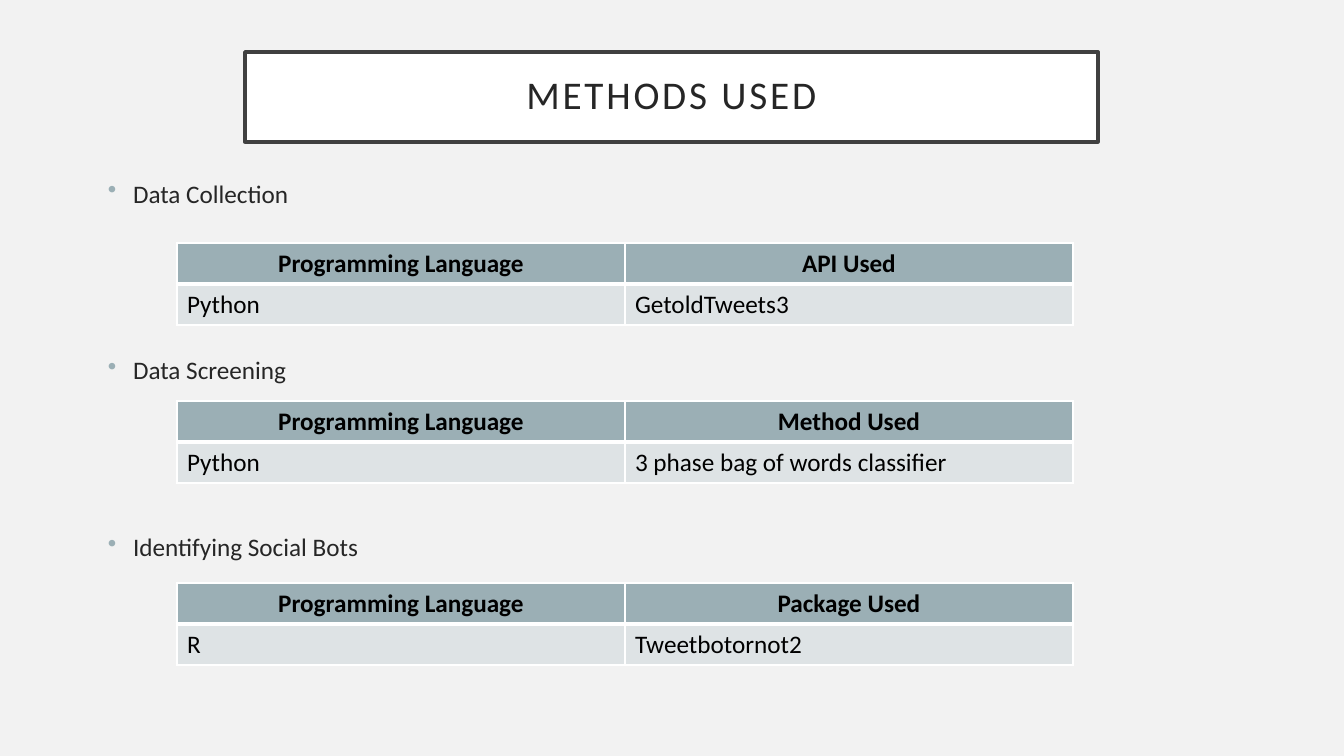
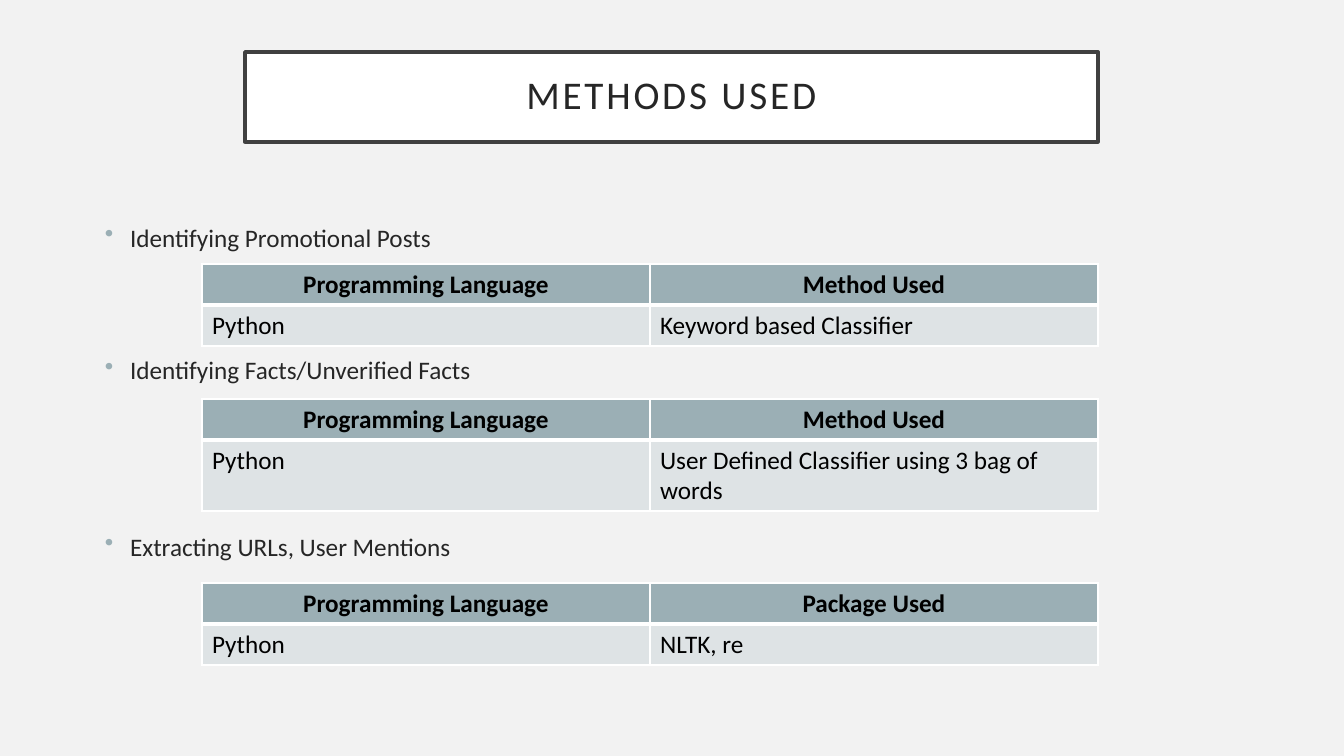
from pptx import Presentation
from pptx.dml.color import RGBColor as RGB
from pptx.enum.shapes import MSO_SHAPE as Shape
from pptx.enum.text import MSO_ANCHOR as Anchor, PP_ALIGN as Align
from pptx.oxml import parse_xml
from pptx.oxml.ns import nsdecls
from pptx.util import Pt

PX = 914400 / 100.8
HEX = {"back": "F2F2F2", "white": "FFFFFF", "frame": "404040",
       "text": "262626", "cell": "000000", "head": "9BAFB5", "row": "DEE3E5"}
LEFT, ROW, COL = Align.LEFT, 41, 448

# Each part: bullet, space before in points, table top, lower row height, heading, values
SLIDES = [
    {"body": (98, 173), "table": 177, "parts": [
        ("Data Collection", 0, 243, ROW, "API Used", "Python", "GetoldTweets3"),
        ("Data Screening", 104.5, 401, ROW, "Method Used", "Python",
         "3 phase bag of words classifier"),
        ("Identifying Social Bots", 104.5, 583, ROW, "Package Used", "R",
         "Tweetbotornot2")]},
    {"body": (95, 217), "table": 202, "parts": [
        ("Identifying Promotional Posts", 0, 264, ROW, "Method Used", "Python",
         "Keyword based Classifier"),
        ("Identifying Facts/Unverified Facts", 73, 399, 71, "Method Used", "Python",
         "User Defined Classifier using 3 bag of words"),
        ("Extracting URLs, User Mentions", 104.5, 583, ROW, "Package Used", "Python",
         "NLTK, re")]},
]


def px(*vals):
    return [round(v * PX) for v in vals]


def style(para, text, size, tint, bold=False, align=LEFT):
    run = para.add_run()
    run.text = text
    para.alignment = align
    font = para.font
    font.name, font.size, font.bold = "Calibri", Pt(size), bold
    font.color.rgb = RGB.from_string(HEX[tint])
    return run


prs = Presentation()
prs.slide_width, prs.slide_height = px(1344, 756)

for page in SLIDES:
    slide = prs.slides.add_slide(prs.slide_layouts[6])
    fill = slide.background.fill
    fill.solid()
    fill.fore_color.rgb = RGB.from_string(HEX["back"])

    # Title box
    box = slide.shapes.add_shape(Shape.RECTANGLE, *px(245, 52, 853, 90))
    box.shadow.inherit = False
    box.fill.solid()
    box.fill.fore_color.rgb = RGB.from_string(HEX["white"])
    box.line.color.rgb = RGB.from_string(HEX["frame"])
    box.line.width = Pt(2.5)
    frame = box.text_frame
    frame.vertical_anchor = Anchor.MIDDLE
    para = frame.paragraphs[0]
    para.line_spacing = 0.9
    run = style(para, "METHODS USED", 28, "text", align=Align.CENTER)
    run.font._element.set("spc", "200")

    # Bullet list
    left, top = page["body"]
    frame = slide.shapes.add_textbox(*px(left, top, 1140, 689 - top)).text_frame
    frame.word_wrap = True
    for i, (label, gap, *_) in enumerate(page["parts"]):
        para = frame.add_paragraph() if i else frame.paragraphs[0]
        props = para._p.get_or_add_pPr()
        props.set("marL", "228600")
        props.set("indent", "-228600")
        for xml in (f'<a:buClr {nsdecls("a")}><a:srgbClr val="{HEX["head"]}"/></a:buClr>',
                    f'<a:buChar {nsdecls("a")} char="•"/>'):
            props.append(parse_xml(xml))
        para.space_before = Pt(gap)
        style(para, label, 18, "text")

    # Tables
    for _, _, top, low, head, tool, value in page["parts"]:
        grid = slide.shapes.add_table(
            2, 2, *px(page["table"], top, 2 * COL, ROW + low)).table
        grid.horz_banding = False
        for col in grid.columns:
            col.width = px(COL)[0]
        grid.rows[0].height, grid.rows[1].height = px(ROW, low)
        texts = ["Programming Language", head, tool, value]
        for i, (cell, text) in enumerate(zip(grid.iter_cells(), texts)):
            first = i < 2
            props = cell._tc.get_or_add_tcPr()
            for side in "LRTB":
                wide = Pt(3 if side == ("B" if first else "T") else 1)
                props.append(parse_xml(
                    f'<a:ln{side} {nsdecls("a")} w="{wide}"><a:solidFill>'
                    f'<a:srgbClr val="{HEX["white"]}"/></a:solidFill></a:ln{side}>'))
            cell.fill.solid()
            cell.fill.fore_color.rgb = RGB.from_string(HEX["head" if first else "row"])
            style(cell.text_frame.paragraphs[0], text, 18, "cell", first,
                  Align.CENTER if first else LEFT)

prs.save("out.pptx")
